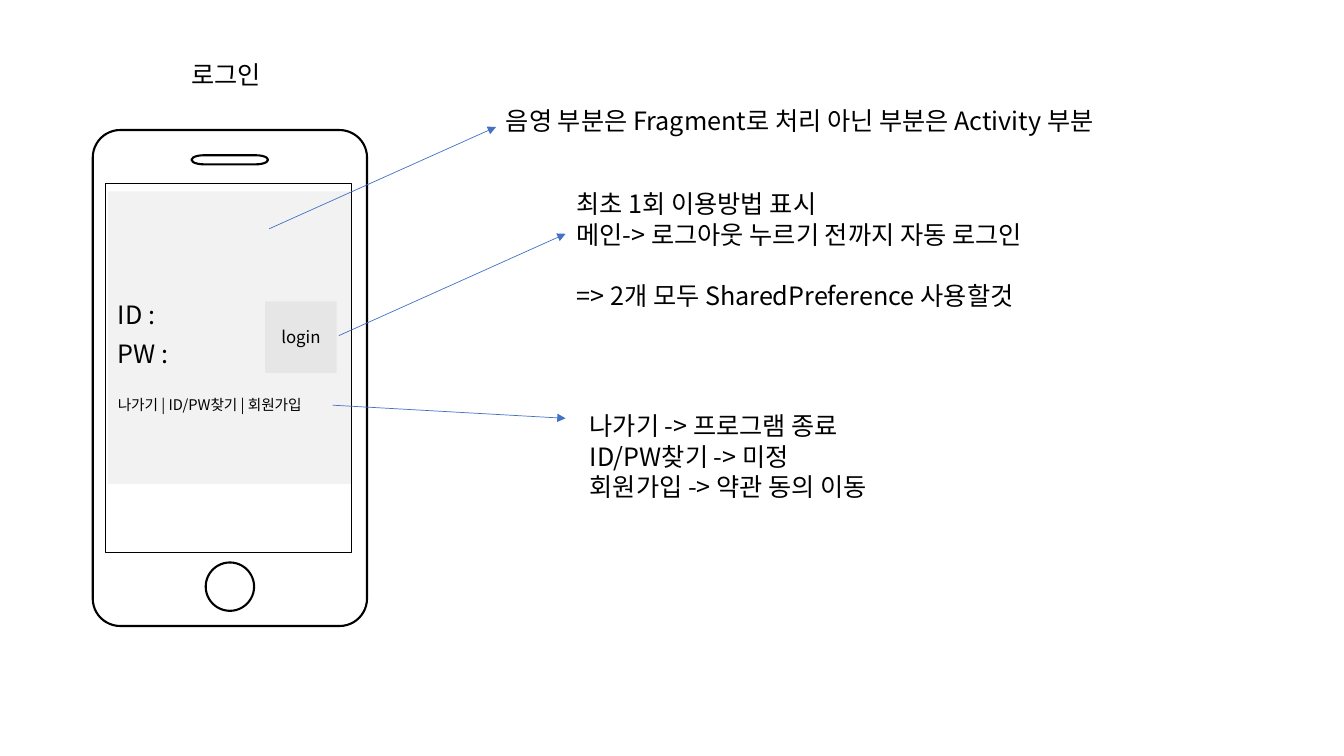
from lxml import etree
from pptx import Presentation, util as u
from pptx.dml.color import RGBColor
from pptx.enum import shapes, text
from pptx.oxml.ns import qn

INK = {"black": "000000", "white": "FFFFFF", "shade": "F2F2F2",
       "button": "E7E6E6", "arrow": "4472C4"}
FONT = "Noto Sans CJK KR"
KIND = shapes.MSO_SHAPE


class Page:
    """Style and current slide."""

    def __init__(self, deck):
        self.slide = deck.slides.add_slide(deck.slide_layouts[5])
        self.items = self.slide.shapes

    def color(self, name):
        return RGBColor.from_string(INK[name])

    def fill_in(self, frame, lines, size, align=text.PP_ALIGN.LEFT, gap=None):
        for i, line in enumerate(lines):
            para = frame.paragraphs[0] if i == 0 else frame.add_paragraph()
            para.alignment = align
            para.line_spacing = u.Pt(round(size * 1.21, 1))
            if i == gap:
                para.space_before = u.Pt(21.8)
            run = para.add_run()
            run.text = line
            run.font.size = u.Pt(size)
            run.font.name = FONT
            run.font.color.rgb = self.color("black")
            east = etree.SubElement(run._r.get_or_add_rPr(), qn("a:ea"))
            east.set("typeface", FONT)

    def fit(self, frame):
        frame.word_wrap = False
        frame.auto_size = text.MSO_AUTO_SIZE.SHAPE_TO_FIT_TEXT
        frame.vertical_anchor = text.MSO_ANCHOR.TOP

    def title(self, box, line):
        head = self.items.title
        head.left, head.top, head.width, head.height = map(u.Inches, box)
        self.fit(head.text_frame)
        self.fill_in(head.text_frame, [line], 18)

    def label(self, box, lines, size=18, gap=None):
        frame = self.items.add_textbox(*map(u.Inches, box)).text_frame
        self.fit(frame)
        self.fill_in(frame, lines, size, gap=gap)

    def shape(self, kind, box, fill=None, line=None):
        item = self.items.add_shape(kind, *map(u.Inches, box))
        item.shadow.inherit = False
        if fill:
            item.fill.solid()
            item.fill.fore_color.rgb = self.color(fill)
        else:
            item.fill.background()
        if line:
            item.line.color.rgb = self.color("black")
            item.line.width = u.Pt(line)
        else:
            item.line.fill.background()
        return item

    def arrow(self, start, end):
        item = self.items.add_connector(
            shapes.MSO_CONNECTOR.STRAIGHT, *map(u.Inches, start + end))
        item.line.color.rgb = self.color("arrow")
        item.line.width = u.Pt(0.5)
        props = item._element.spPr
        tip = etree.SubElement(props.find(qn("a:ln")), qn("a:tailEnd"))
        tip.set("type", "triangle")
        etree.SubElement(props, qn("a:effectLst"))


deck = Presentation()
deck.slide_width, deck.slide_height = u.Inches(13.33), u.Inches(7.5)
page = Page(deck)
page.title((1.8, 0.54, 0.96, 0.4), "로그인")

# Phone: body, home button, speaker, screen
body = page.shape(KIND.ROUNDED_RECTANGLE, (0.92, 1.29, 2.72, 4.92), "white", 1.5)
body.adjustments[0] = 0.1
page.shape(KIND.OVAL, (2.04, 5.58, 0.48, 0.48), "white", 1.5)
page.shape(KIND.FLOWCHART_TERMINATOR, (1.9, 1.54, 0.76, 0.09), "white", 1.5)
page.shape(KIND.RECTANGLE, (1.05, 1.82, 2.44, 3.66), line=0.75)

# Login form
page.shape(KIND.RECTANGLE, (1.07, 1.9, 2.41, 2.9), "shade")
page.label((1.07, 2.92, 0.69, 0.4), ["ID : "])
page.label((1.07, 3.3, 0.83, 0.4), ["PW : "])
page.label((1.07, 3.88, 2.24, 0.28), ["나가기 | ID/PW찾기 | 회원가입"], 10.5)
login = page.shape(KIND.RECTANGLE, (2.63, 2.99, 0.71, 0.71), "button")
login.text_frame.vertical_anchor = text.MSO_ANCHOR.MIDDLE
page.fill_in(login.text_frame, ["login"], 12, text.PP_ALIGN.CENTER)

# Notes
page.label((4.92, 0.99, 6.54, 0.4),
           ["음영 부분은 Fragment로 처리 아닌 부분은 Activity 부분"])
page.label((5.62, 1.82, 5.22, 1.31),
           ["최초 1회 이용방법 표시",
            "메인-> 로그아웃 누르기 전까지 자동 로그인",
            "=> 2개 모두 SharedPreference 사용할것"], gap=2)
page.label((5.75, 4.02, 3.36, 1.01),
           ["나가기 -> 프로그램 종료", "ID/PW찾기 -> 미정",
            "회원가입 -> 약관 동의 이동"])

# Arrows from the form to the notes
for start, end in [((2.67, 2.27), (4.92, 1.26)),
                   ((3.36, 3.33), (5.61, 2.32)),
                   ((3.3, 4.02), (5.61, 4.15))]:
    page.arrow(start, end)

deck.save("out.pptx")
